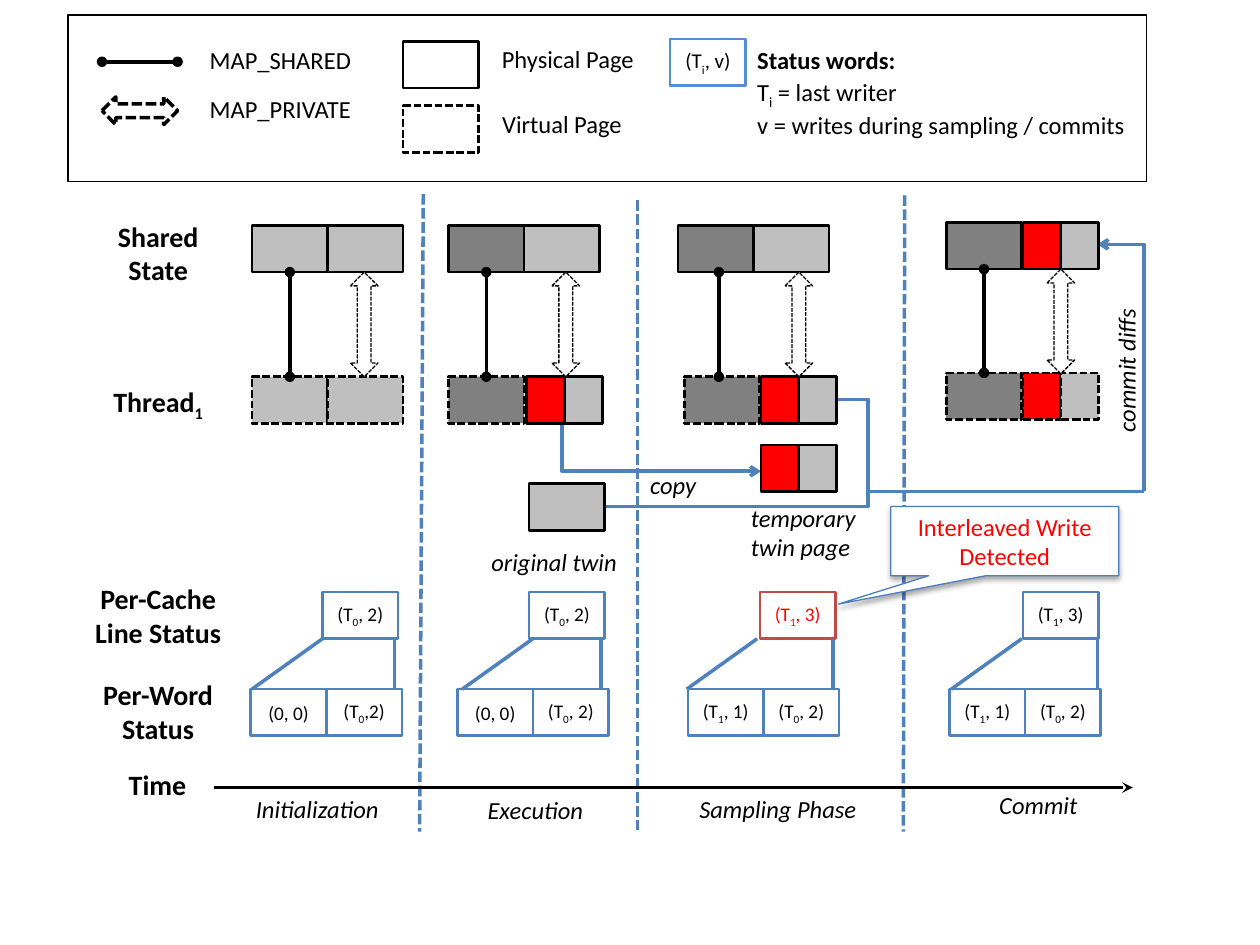
import dataclasses

import lxml.etree
import pptx
import pptx.dml.color
import pptx.enum.dml
import pptx.enum.shapes
import pptx.enum.text
import pptx.oxml.ns
import pptx.util

Pt = pptx.util.Pt
SHAPE = pptx.enum.shapes.MSO_SHAPE
LINK = pptx.enum.shapes.MSO_CONNECTOR
ALIGN = pptx.enum.text.PP_ALIGN


@dataclasses.dataclass(frozen=True)
class Theme:
    font: str = "Calibri"
    black: str = "000000"
    white: str = "FFFFFF"
    dark: str = "808080"
    light: str = "BFBFBF"
    red: str = "FF0000"
    blue: str = "4F81BD"
    legend_blue: str = "558ED5"
    callout_blue: str = "4B7EBC"
    alert: str = "BF4C48"
    heading: int = 16
    label: int = 14
    key: int = 12
    status: int = 11
    page_w: float = 43.2
    page_h: float = 26.6


class Diagram:
    """Draws the elements of one slide in a shared style, with lengths in points."""

    def __init__(self, slide, theme):
        self.s, self.t = slide, theme

    def add_xml(self, parent, tag, **attrs):
        return lxml.etree.SubElement(parent, pptx.oxml.ns.qn(tag), attrs)

    def style_line(self, line, color, width, dashed=False):
        line.color.rgb = pptx.dml.color.RGBColor.from_string(color)
        line.width = Pt(width)
        if dashed:
            line.dash_style = pptx.enum.dml.MSO_LINE.SQUARE_DOT

    def fill_text(self, tf, text, size, color=None, align=ALIGN.CENTER, bold=False, italic=False):
        """Set lines of text; the character after each ~ is a subscript."""
        tf.margin_left = tf.margin_right = 0
        for i, line in enumerate(text.split("\n")):
            p = tf.paragraphs[0] if i == 0 else tf.add_paragraph()
            p.alignment = align
            first, *rest = line.split("~")
            pieces = [(first, False)]
            for part in rest:
                pieces += [(part[0], True), (part[1:], False)]
            for content, sub in pieces:
                if not content:
                    continue
                r = p.add_run()
                r.text = content
                r.font.name, r.font.size = self.t.font, Pt(size)
                r.font.bold, r.font.italic = bold, italic
                r.font.color.rgb = pptx.dml.color.RGBColor.from_string(color or self.t.black)
                if sub:
                    r.font._element.set("baseline", "-25000")

    def label(self, text, x, y, w, h=24.5, rotation=0, size=None, **style):
        sp = self.s.shapes.add_textbox(Pt(x), Pt(y), Pt(w), Pt(h))
        sp.rotation = rotation
        sp.text_frame.word_wrap = False
        self.fill_text(sp.text_frame, text, size or self.t.label, **style)

    def shape(self, kind, x, y, w, h, fill, color, width=1.5, dashed=False):
        sp = self.s.shapes.add_shape(kind, Pt(x), Pt(y), Pt(w), Pt(h))
        sp.shadow.inherit = False
        if fill:
            sp.fill.solid()
            sp.fill.fore_color.rgb = pptx.dml.color.RGBColor.from_string(fill)
        else:
            sp.fill.background()
        self.style_line(sp.line, color, width, dashed)
        return sp

    def page(self, x, y, fill, dashed=False, part=1):
        return self.shape(SHAPE.RECTANGLE, x, y, self.t.page_w * part, self.t.page_h,
                          fill, self.t.black, dashed=dashed)

    def written_page(self, x, y, dashed=False):
        half = self.t.page_w / 2
        for i, fill in enumerate((self.t.red, self.t.light)):
            self.page(x + i * half, y, fill, dashed, 0.5)

    def status(self, text, x, y, line=None, color=None, size=None):
        sp = self.shape(SHAPE.RECTANGLE, x, y, self.t.page_w, self.t.page_h,
                        self.t.white, line or self.t.blue)
        self.fill_text(sp.text_frame, text, size or self.t.status, color)

    def line(self, x1, y1, x2, y2, color, dashed=False, head=None, tail=None, bend=None):
        kind = LINK.STRAIGHT if bend is None else LINK.ELBOW
        c = self.s.shapes.add_connector(kind, Pt(x1), Pt(y1), Pt(x2), Pt(y2))
        self.style_line(c.line, color, 2, dashed)
        ln = c.line._get_or_add_ln()
        for tag, end in (("a:headEnd", head), ("a:tailEnd", tail)):
            if end:
                self.add_xml(ln, tag, type=end)
        self.add_xml(c._element.spPr, "a:effectLst")
        if bend is not None:
            geometry = c._element.spPr.find(pptx.oxml.ns.qn("a:prstGeom"))
            guides = geometry.find(pptx.oxml.ns.qn("a:avLst"))
            if guides is None:
                guides = self.add_xml(geometry, "a:avLst")
            self.add_xml(guides, "a:gd", name="adj1", fmla=f"val {bend}")
        return c

    def shared_map(self, x, y1, y2, joined=None):
        c = self.line(x, y1, x, y2, self.t.black, head="oval", tail="oval")
        if joined:
            c.begin_connect(joined[0], 2)
            c.end_connect(joined[1], 0)

    def private_map(self, x, y):
        self.shape(SHAPE.UP_DOWN_ARROW, x, y, 15.8, 59.8, self.t.white, self.t.black, 0.75, True)

    def callout(self, text, x, y, w, h, tip):
        sp = self.shape(SHAPE.RECTANGULAR_CALLOUT, x, y, w, h,
                        self.t.white, self.t.callout_blue, 0.75)
        sp.adjustments[0], sp.adjustments[1] = tip
        effects = sp._element.spPr.find(pptx.oxml.ns.qn("a:effectLst"))
        shadow = self.add_xml(effects, "a:outerShdw", blurRad=str(Pt(3.1)), dist=str(Pt(1.8)),
                              dir="5400000", rotWithShape="0")
        shade = self.add_xml(shadow, "a:srgbClr", val=self.t.black)
        self.add_xml(shade, "a:alpha", val="35000")
        self.fill_text(sp.text_frame, text, self.t.label, self.t.red)


def draw_legend(d, t):
    d.shape(SHAPE.RECTANGLE, 38.9, 8.6, 616.3, 95, None, t.black, 0.75)
    d.line(58.3, 35.3, 101.5, 35.3, t.black, head="oval", tail="oval")
    d.shape(SHAPE.LEFT_RIGHT_ARROW, 58.3, 55.4, 43.2, 15.8, t.white, t.black, 2, True)
    d.page(230.4, 23.8, t.white)
    d.page(230.4, 60.5, t.white, dashed=True)
    for text, x, y, w in (("MAP_SHARED", 119.5, 22.3, 81.4), ("MAP_PRIVATE", 119.5, 50.4, 81.4),
                          ("Physical Page", 286.6, 21.6, 75.6), ("Virtual Page", 286.6, 59, 69.1)):
        d.label(text, x, y, w)
    d.status("(T~i, v)", 383, 22.3, t.legend_blue, size=t.key)
    d.label("Status words:", 432.7, 22.3, 80, bold=True, align=ALIGN.LEFT)
    d.label("T~i = last writer\nv = writes during sampling / commits", 432.7, 40.3, 219, 41,
            align=ALIGN.LEFT)


def draw_pages(d, t):
    for x1, y1, x2, y2 in ((241.9, 110.9, 239.8, 475.2), (364.3, 114.5, 364.3, 474.5),
                           (517, 111.6, 516.2, 475.2)):
        d.line(x1, y1, x2, y2, t.blue, dashed=True)
    d.line(478.1, 228.2, 345.6, 289.4, t.blue, bend=-13600)
    d.line(494.6, 280.8, 653.8, 280.8, t.blue)
    d.line(653.8, 280.8, 627.1, 139.7, t.blue, tail="arrow", bend=0)
    d.line(321.1, 241.2, 434.9, 269.3, t.blue, tail="arrow", bend=0)

    phases = (
        (144, 144, 187.2, 187.2, 128.9, 215.3, t.light, 200.2),
        (256.3, 256.3, 299.5, 301, 128.9, 215.3, t.dark, 315.4),
        (387.4, 391, 430.6, 434.9, 128.9, 215.3, t.dark, 448.6),
        (540.7, 540.7, 584.6, 584.6, 127.2, 213.1, t.dark, 598.3),
    )
    for i, (x, vx, rx, rvx, y, vy, fill, arrow_x) in enumerate(phases):
        ends = d.page(x, y, fill), d.page(vx, vy, fill, dashed=True)
        if i < 3:
            d.page(rx, y, t.light)
        else:
            d.written_page(rx, y)
        if i == 0:
            d.page(rvx, vy, t.light, dashed=True)
        else:
            d.written_page(rvx, vy, dashed=i == 3)
        d.private_map(arrow_x, y + t.page_h)
        d.shared_map((x + vx + t.page_w) / 2, y + t.page_h, vy, ends if x == vx else None)
    d.written_page(434.9, 254.2)
    d.page(302.4, 276.5, t.light)


def draw_status(d, t):
    groups = (
        (184.3, 143.3, 144, 225.4, "(T~0, 2)", "(0, 0)", "(T~0,2)"),
        (302.4, 261.4, 264.2, 343.4, "(T~0, 2)", "(0, 0)", "(T~0, 2)"),
        (434.2, 393.1, 392.4, 475.9, "(T~1, 3)", "(T~1, 1)", "(T~0, 2)"),
        (584.6, 542.6, 543.6, 627.1, "(T~1, 3)", "(T~1, 1)", "(T~0, 2)"),
    )
    cache_y, word_y = 338.4, 393.8
    for i, (cache_x, word_x, slant_x, edge_x, cache, *words) in enumerate(groups):
        hit = i == 2
        d.status(cache, cache_x, cache_y, t.alert if hit else None, t.red if hit else None)
        for j, word in enumerate(words):
            d.status(word, word_x + j * t.page_w, word_y)
        for x1, x2 in ((slant_x, slant_x + 40.3), (edge_x, edge_x)):
            d.line(x1, word_y, x2, cache_y + t.page_h, t.blue)


def draw_labels(d, t):
    d.line(122.4, 450, 647.3, 450, t.black, tail="stealth")
    for text, x, y, w, h in (("Shared\nState", 59.8, 121.7, 61.2, 46),
                             ("Thread~1", 64.1, 216, 52.6, 26.6),
                             ("Per-Cache\nLine Status", 40.3, 329, 100.1, 46),
                             ("Per-Word\nStatus", 40.3, 383.8, 100.1, 46),
                             ("Time", 57.6, 434.9, 64.8, 26.6)):
        d.label(text, x, y, w, h, size=t.heading, bold=True)
    for text, x, y, w in (("Initialization", 146.2, 450, 74.2), ("Execution", 278.6, 450.7, 58.3),
                          ("Sampling Phase", 399.6, 450, 94.3), ("Commit", 571, 447.8, 48.2),
                          ("original twin", 280.8, 308.9, 77.8), ("copy", 371.5, 265, 33.1),
                          ("temporary\ntwin page", 429.1, 283.7, 64.1)):
        d.label(text, x, y, w, italic=True, align=ALIGN.LEFT)
    d.label("commit diffs", 605.5, 196.6, 76.3, rotation=270, italic=True, align=ALIGN.LEFT)
    d.callout("Interleaved Write Detected", 509, 289.4, 130.3, 39.6, (-0.73, 0.91))


def main():
    prs = pptx.Presentation()
    prs.slide_width, prs.slide_height = Pt(720), Pt(540)
    theme = Theme()
    d = Diagram(prs.slides.add_slide(prs.slide_layouts[6]), theme)
    for draw in (draw_legend, draw_pages, draw_status, draw_labels):
        draw(d, theme)
    prs.save("out.pptx")


if __name__ == "__main__":
    main()
